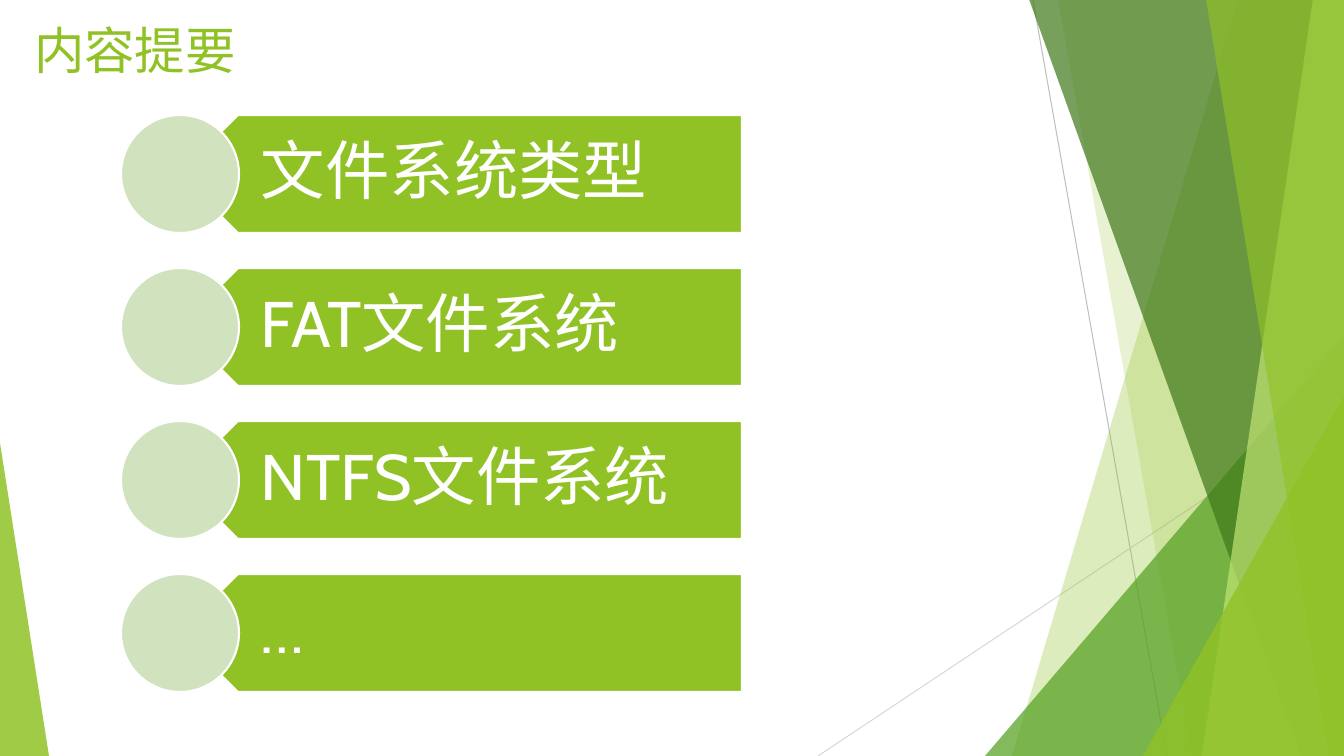
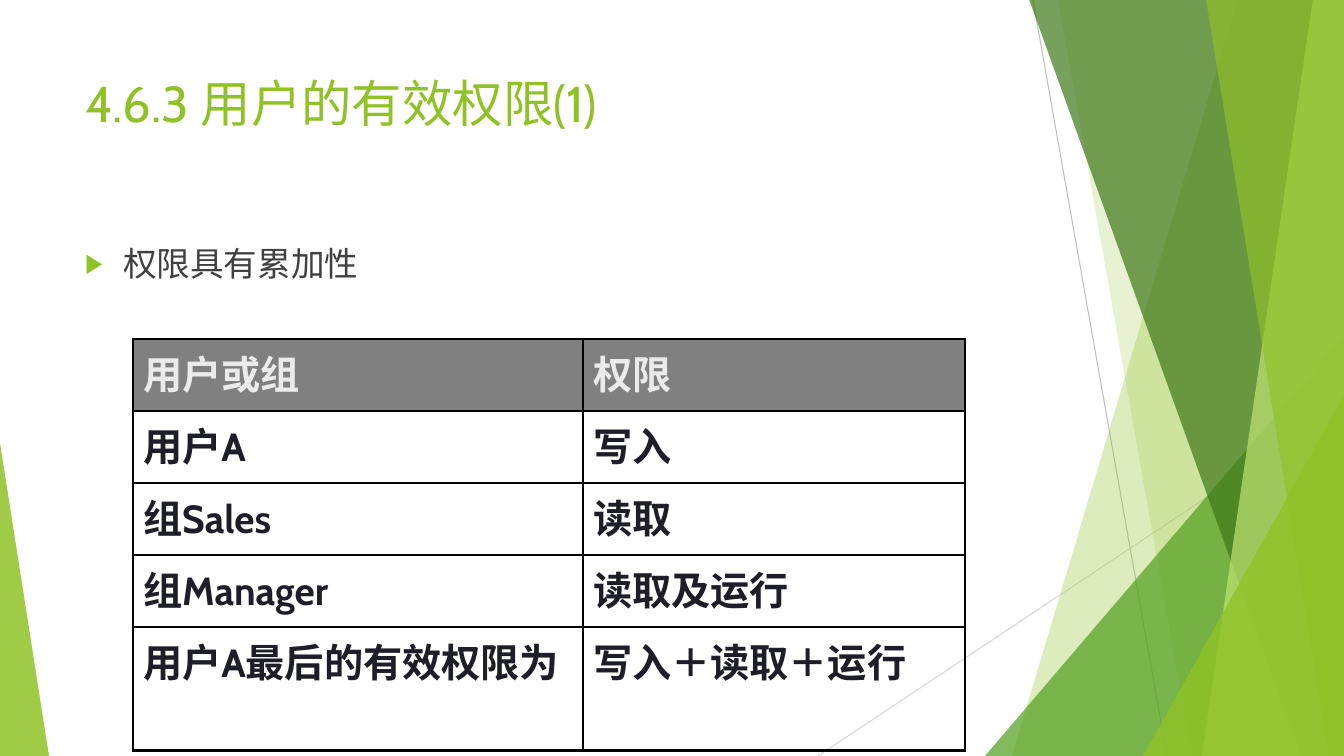
from lxml import etree
from pptx import Presentation
from pptx import util as u
from pptx.dml.color import RGBColor
from pptx.enum import lang, shapes, text
from pptx.oxml import ns

WIDTH, HEIGHT = 1344, 756
PX = 12192000 / WIDTH

LIME = RGBColor(0x90, 0xC2, 0x26)
GREEN = RGBColor(0x54, 0xA0, 0x21)
FOREST = RGBColor(0x3F, 0x78, 0x19)
PALE_LIME = RGBColor(0xC0, 0xE4, 0x74)
PALE_GREEN = RGBColor(0xD1, 0xE3, 0xBE)
WHITE = RGBColor(0xFF, 0xFF, 0xFF)
BLACK = RGBColor(0x00, 0x00, 0x00)
GRAY = RGBColor(0x80, 0x80, 0x80)
HAIRLINE_DARK = RGBColor(0xBF, 0xBF, 0xBF)
HAIRLINE_LIGHT = RGBColor(0xD9, 0xD9, 0xD9)
BODY_GRAY = RGBColor(0x40, 0x40, 0x40)
HEADER_INK = RGBColor(0xEB, 0xEB, 0xEB)
CELL_INK = RGBColor(0x1E, 0x1E, 0x28)

CHINESE = lang.MSO_LANGUAGE_ID.SIMPLIFIED_CHINESE
TITLE_FONT = {"name": "Cabin", "size": u.Pt(36), "language_id": CHINESE}
BODY_FONT = {**TITLE_FONT, "size": u.Pt(24)}
TOPIC_FONT = {**TITLE_FONT, "size": u.Pt(46)}
CELL_FONT = {**TITLE_FONT, "size": u.Pt(28), "bold": True}

HAIRLINES = [
    ((1033, 0), (1167, HEIGHT), HAIRLINE_DARK),
    ((WIDTH, 406), (818, HEIGHT), HAIRLINE_LIGHT),
]
FACETS = [
    (1238, 1012, LIME, 30),
    (1058, 1192, LIME, 20),
    None,
    (1029, 1301, FOREST, 70),
    (1313, 1202, PALE_LIME, 70),
    (1206, 1329, LIME, 65),
]
WEDGE = ((985, 336, 359, 420), 1, GREEN, 72)
CORNERS = [
    ((1143, 396, 201, 360), 1, LIME, 80),
    ((0, 443, 49, 313), 0, LIME, 85),
]

TOPICS = ["文件系统类型", "FAT文件系统", "NTFS文件系统", "…"]
TOPIC_TOP, TOPIC_PITCH, TOPIC_HEIGHT = 115, 153, 118

PERMISSIONS = [
    ("用户或组", "权限"),
    ("用户A", "写入"),
    ("组Sales", "读取"),
    ("组Manager", "读取及运行"),
    ("用户A最后的有效权限为", "写入＋读取＋运行"),
]
COLUMN_WIDTHS = [450, 382]
ROW_HEIGHTS = [72, 72, 72, 72, 83]


def px(length):
    return u.Emu(round(length * PX))


def box(*lengths):
    return [px(length) for length in lengths]


def apply(target, values):
    for key, value in values.items():
        setattr(target, key, value)


def add_xml(parent, tag, **attributes):
    return etree.SubElement(parent, ns.qn(tag), attributes)


def write(frame, content, font, color, **paragraph_format):
    paragraph = frame.paragraphs[0]
    apply(paragraph, {"alignment": text.PP_ALIGN.LEFT, **paragraph_format})
    run = paragraph.add_run()
    run.text = content
    apply(run.font, font)
    run.font.color.rgb = color
    return paragraph


def paint(shape, color, opacity=100, outline=None):
    shape.shadow.inherit = False
    shape.fill.solid()
    shape.fill.fore_color.rgb = color
    if opacity < 100:
        tint = shape.element.xpath("./p:spPr/a:solidFill/a:srgbClr")[0]
        add_xml(tint, "a:alpha", val=str(opacity * 1000))
    if outline is None:
        shape.line.fill.background()
    else:
        shape.line.color.rgb = outline
        shape.line.width = u.Pt(1.5)


def add_hairline(slide, start, end, color):
    hairline = slide.shapes.add_connector(
        shapes.MSO_CONNECTOR.STRAIGHT, *box(*start, *end))
    hairline.line.color.rgb = color
    hairline.line.width = u.Pt(0.75)
    add_xml(hairline.element.spPr, "a:effectLst")


def add_facet(slide, top_x, bottom_x, color, opacity):
    outline = slide.shapes.build_freeform(top_x, -1, scale=PX)
    outline.add_line_segments(
        [(WIDTH, -1), (WIDTH, HEIGHT), (bottom_x, HEIGHT)], close=True)
    paint(outline.convert_to_shape(), color, opacity)


def add_corner(slide, place, apex, color, opacity):
    corner = slide.shapes.add_shape(
        shapes.MSO_SHAPE.ISOSCELES_TRIANGLE, *box(*place))
    corner.adjustments[0] = apex
    paint(corner, color, opacity)


def add_backdrop_to_master(deck, slide):
    first = len(slide.shapes)
    for hairline in HAIRLINES:
        add_hairline(slide, *hairline)
    for facet in FACETS:
        if facet:
            add_facet(slide, *facet)
        else:
            add_corner(slide, *WEDGE)
    for corner in CORNERS:
        add_corner(slide, *corner)
    master_tree = deck.slide_master.shapes.element
    for index, part in enumerate(list(slide.shapes)[first:]):
        part.element.xpath(".//p:cNvPr")[0].set("id", str(100 + index))
        master_tree.insert(2 + index, part.element)


def fill_placeholder(holder, place, content, font, color, **paragraph_format):
    apply(holder, dict(zip(("left", "top", "width", "height"), box(*place))))
    apply(holder.text_frame, {
        "vertical_anchor": text.MSO_ANCHOR.TOP,
        "auto_size": text.MSO_AUTO_SIZE.NONE,
        "word_wrap": True,
    })
    return write(holder.text_frame, content, font, color, **paragraph_format)


def set_bullet(paragraph):
    properties = paragraph._p.get_or_add_pPr()
    apply_indent = {"marL": px(38), "indent": -px(38)}
    for key, value in apply_indent.items():
        properties.set(key, str(value))
    add_xml(add_xml(properties, "a:buClr"), "a:srgbClr", val=str(LIME))
    add_xml(properties, "a:buSzPct", val="80000")
    add_xml(properties, "a:buChar", char="▶")


def add_topic(slide, top, topic):
    banner = slide.shapes.add_shape(
        shapes.MSO_SHAPE.PENTAGON, *box(179, top, 563, TOPIC_HEIGHT))
    banner.rotation = 180
    paint(banner, LIME, outline=WHITE)
    label = slide.shapes.add_textbox(*box(209, top, 533, TOPIC_HEIGHT))
    apply(label.text_frame, {
        "word_wrap": True,
        "vertical_anchor": text.MSO_ANCHOR.MIDDLE,
        "margin_left": px(52),
        "margin_top": px(19),
        "margin_right": px(36),
        "margin_bottom": px(19),
    })
    write(label.text_frame, topic, TOPIC_FONT, WHITE, line_spacing=0.9)
    disc = slide.shapes.add_shape(
        shapes.MSO_SHAPE.OVAL, *box(121, top, TOPIC_HEIGHT, TOPIC_HEIGHT))
    paint(disc, PALE_GREEN, outline=WHITE)


def set_borders(cell, outer_sides):
    properties = cell._tc.get_or_add_tcPr()
    for index, (side, outer) in enumerate(outer_sides.items()):
        width = u.Pt(2.25 if outer else 1)
        border = add_xml(properties, "a:ln" + side, w=str(width))
        add_xml(add_xml(border, "a:solidFill"), "a:srgbClr", val=str(BLACK))
        properties.insert(index, border)


def add_permission_table(slide):
    rows, columns = len(PERMISSIONS), len(COLUMN_WIDTHS)
    table = slide.shapes.add_table(
        rows, columns,
        *box(133, 339, sum(COLUMN_WIDTHS), sum(ROW_HEIGHTS))).table
    apply(table, {"first_row": False, "horz_banding": False})
    for column, width in zip(table.columns, COLUMN_WIDTHS):
        column.width = px(width)
    for r, entries in enumerate(PERMISSIONS):
        table.rows[r].height = px(ROW_HEIGHTS[r])
        for c, entry in enumerate(entries):
            cell = table.cell(r, c)
            if r == 0:
                cell.fill.solid()
                cell.fill.fore_color.rgb = GRAY
            else:
                cell.fill.background()
            write(cell.text_frame, entry, CELL_FONT,
                  CELL_INK if r else HEADER_INK)
            set_borders(cell, {"L": c == 0, "R": c == columns - 1,
                               "T": r == 0, "B": r == rows - 1})


def build_outline(slide):
    for index, topic in enumerate(TOPICS):
        add_topic(slide, TOPIC_TOP + index * TOPIC_PITCH, topic)
    fill_placeholder(slide.shapes.title, (24, 14, 433, 79),
                     "内容提要", TITLE_FONT, LIME)


def build_permissions(slide):
    fill_placeholder(slide.shapes.title, (75, 67, 948, 145),
                     "4.6.3 用户的有效权限(1)", TITLE_FONT, LIME)
    point = fill_placeholder(slide.placeholders[1], (75, 238, 948, 427),
                             "权限具有累加性", BODY_FONT, BODY_GRAY,
                             space_before=u.Pt(10))
    set_bullet(point)
    add_permission_table(slide)


def main():
    deck = Presentation()
    apply(deck, {"slide_width": px(WIDTH), "slide_height": px(HEIGHT)})
    outline = deck.slides.add_slide(deck.slide_layouts[5])
    permissions = deck.slides.add_slide(deck.slide_layouts[1])
    add_backdrop_to_master(deck, outline)
    build_outline(outline)
    build_permissions(permissions)
    deck.save("out.pptx")


if __name__ == "__main__":
    main()
